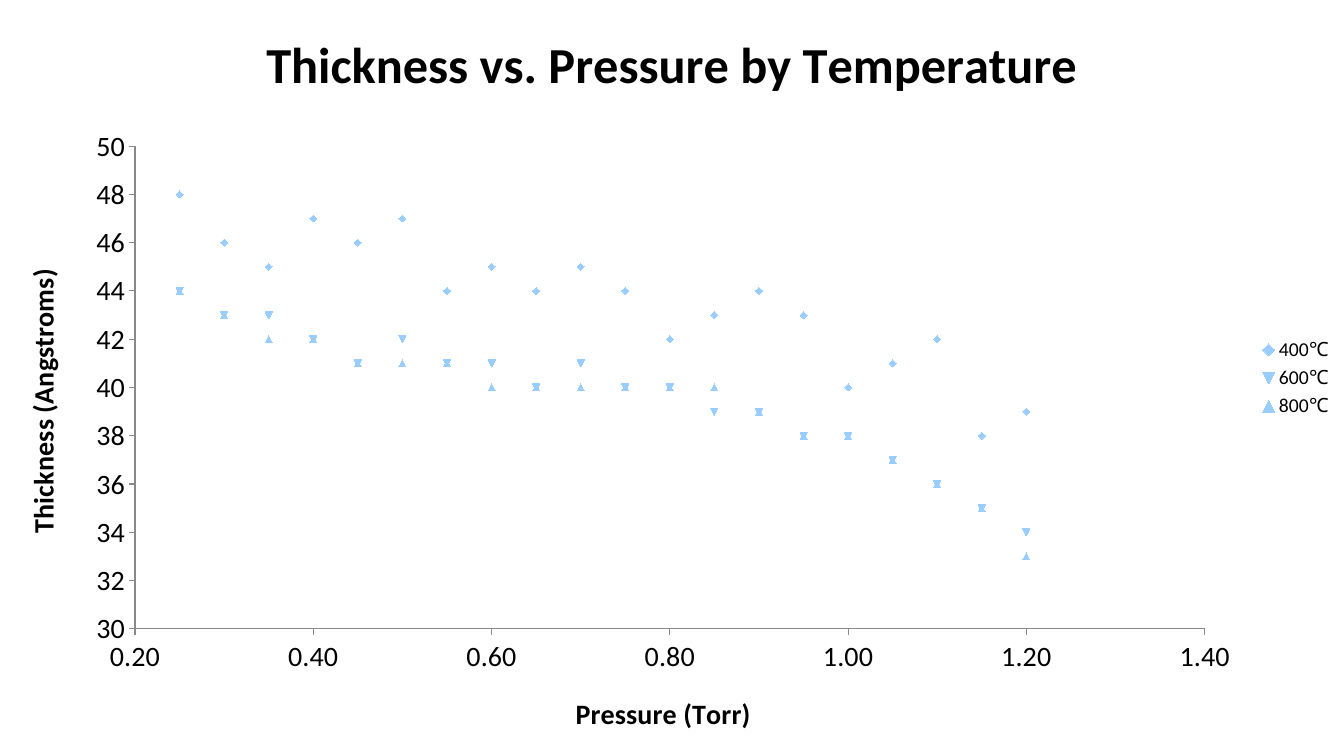
from pptx import Presentation
from pptx.chart.data import XyChartData
from pptx.dml.color import RGBColor
from pptx.enum.chart import XL_CHART_TYPE as ChartType, XL_LEGEND_POSITION as LegendSide
from pptx.enum.chart import XL_MARKER_STYLE as Marker, XL_TICK_MARK as Tick
from pptx.oxml import parse_xml
from pptx.oxml.ns import nsdecls
from pptx.util import Pt

PX = 9144  # EMU per px, 100 px to the inch
WIDTH, HEIGHT = 1333, 750
FONT = "Calibri"
COLORS = {"text": "000000", "axis": "898989", "marker": "99CCFF"}
THICKNESS = {
    "400℃": [48, 46, 45, 47, 46, 47, 44, 45, 44, 45, 44, 42, 43, 44, 43, 40, 41, 42, 38, 39],
    "600℃": [44, 43, 43, 42, 41, 42, 41, 41, 40, 41, 40, 40, 39, 39, 38, 38, 37, 36, 35, 34],
    "800℃": [44, 43, 42, 42, 41, 41, 41, 40, 40, 40, 40, 40, 40, 39, 38, 38, 37, 36, 35, 33],
}
MARKERS = [Marker.DIAMOND, Marker.AUTOMATIC, Marker.TRIANGLE]


def style_font(font, size, bold=False):
    font.name, font.size, font.bold = FONT, Pt(size), bold
    font.color.rgb = RGBColor.from_string(COLORS["text"])


def add_title(owner, text, size):
    """Give a chart or an axis a bold title."""
    span = owner.text_frame.paragraphs[0].add_run()
    span.text = text
    style_font(span.font, size, bold=True)


deck = Presentation()
deck.slide_width, deck.slide_height = WIDTH * PX, HEIGHT * PX
page = deck.slides.add_slide(deck.slide_layouts[6])

# Data: pressure rises in steps of 0.05 Torr
data = XyChartData(number_format="General")
for temperature, values in THICKNESS.items():
    series = data.add_series(temperature)
    for step, value in enumerate(values):
        series.add_data_point(round(0.25 + 0.05 * step, 2), value)

chart = page.shapes.add_chart(
    ChartType.XY_SCATTER, 0, 0, WIDTH * PX, HEIGHT * PX, data
).chart
style_font(chart.font, 10)
chart.has_title = True
add_title(chart.chart_title, "Thickness vs. Pressure by Temperature", 36)
chart.chart_title.include_in_layout = False

# Axes
pressure, thickness = chart.category_axis, chart.value_axis
for axis, title, low, high, unit, form in [
    (pressure, "Pressure (Torr)", 0.2, 1.4, 0.2, "0.00"),
    (thickness, "Thickness (Angstroms)", 30, 50, 2, "General"),
]:
    axis.minimum_scale, axis.maximum_scale, axis.major_unit = low, high, unit
    axis.has_major_gridlines = False
    axis.major_tick_mark, axis.minor_tick_mark = Tick.OUTSIDE, Tick.NONE
    axis.format.line.color.rgb = RGBColor.from_string(COLORS["axis"])
    axis.format.line.width = Pt(0.75)
    axis.tick_labels.number_format = form
    axis.tick_labels.number_format_is_linked = False
    style_font(axis.tick_labels.font, 20)
    axis.has_title = True
    add_title(axis.axis_title, title, 20)

# Markers without joining lines
for series, shape in zip(chart.plots[0].series, MARKERS):
    series.smooth = False
    series.format.line.fill.background()
    series.marker.style, series.marker.size = shape, 5
    series.marker.format.fill.solid()
    series.marker.format.fill.fore_color.rgb = RGBColor.from_string(COLORS["marker"])
    series.marker.format.line.fill.background()

chart.has_legend = True
chart.legend.position = LegendSide.RIGHT
chart.legend.include_in_layout = False
style_font(chart.legend.font, 14)

# Fixed inner plot area, as fractions of the chart
plot_area = chart.plots[0]._element.getparent()
for old in plot_area.findall("{*}layout"):
    plot_area.remove(old)
plot_area.insert(0, parse_xml(
    f'<c:layout {nsdecls("c")}><c:manualLayout><c:layoutTarget val="inner"/>'
    '<c:xMode val="edge"/><c:yMode val="edge"/>'
    f'<c:x val="{134 / WIDTH:.4f}"/><c:y val="{145 / HEIGHT:.4f}"/>'
    f'<c:w val="{1061 / WIDTH:.4f}"/><c:h val="{479 / HEIGHT:.4f}"/>'
    "</c:manualLayout></c:layout>"
))

deck.save("out.pptx")
